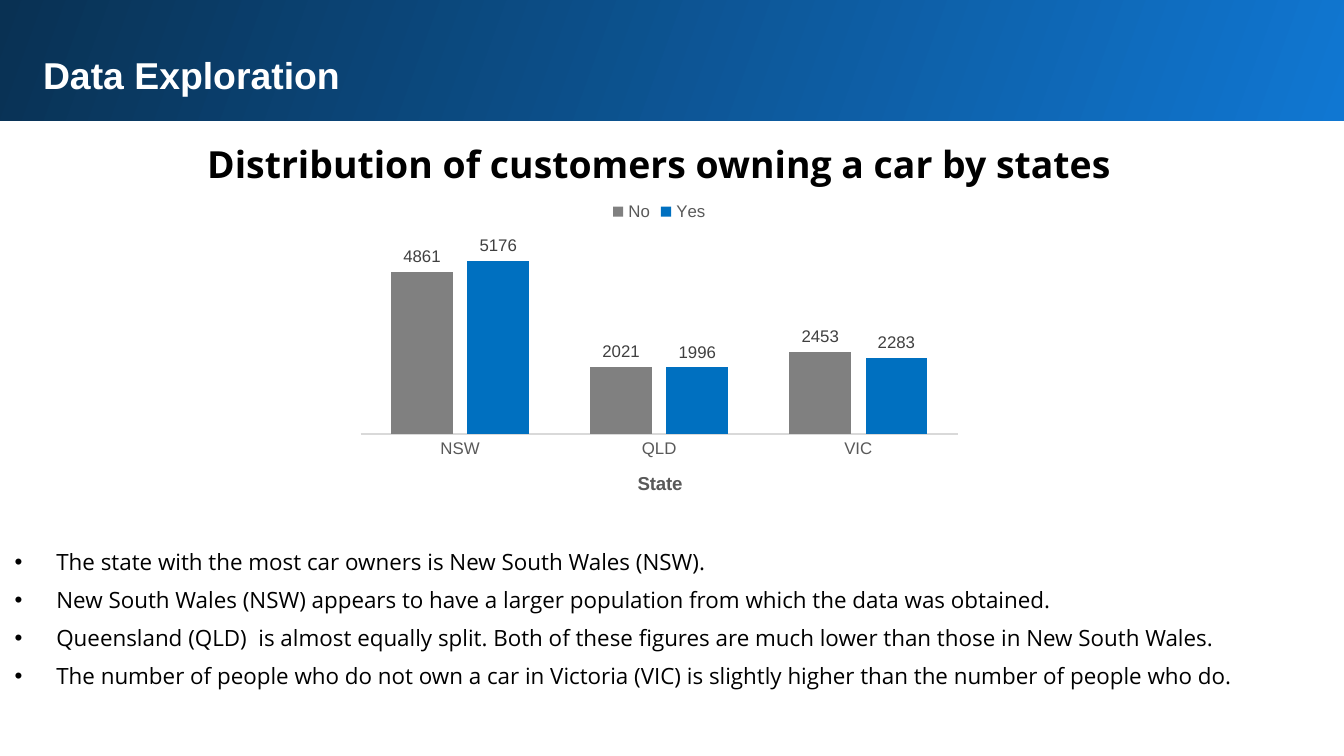
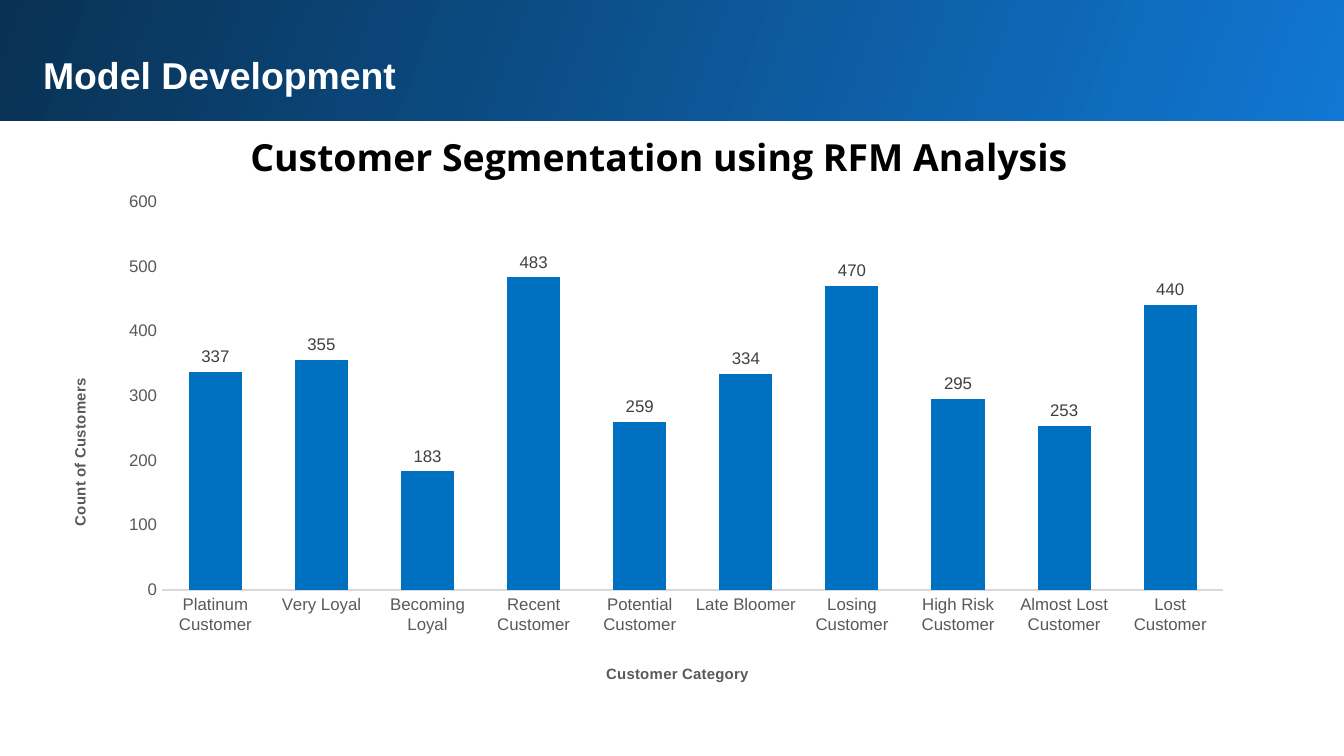
from dataclasses import dataclass

from lxml.etree import SubElement
from pptx import Presentation
from pptx.chart.data import CategoryChartData
from pptx.dml.color import RGBColor
from pptx.enum.chart import XL_CHART_TYPE, XL_LABEL_POSITION, XL_LEGEND_POSITION, XL_TICK_MARK
from pptx.enum.shapes import MSO_SHAPE
from pptx.enum.text import MSO_ANCHOR, MSO_AUTO_SIZE, PP_ALIGN
from pptx.oxml.ns import qn
from pptx.util import Inches, Pt

# Shared style
SANS, OPEN = "Arial", "Open Sans"
WHITE, BLACK = "FFFFFF", "000000"
GRAY, BLUE = "808080", "0070C0"
TEXT, LABEL, RULE = "595959", "404040", "D9D9D9"
BRIGHT, NAVY = "1077D2", "093153"

Box = tuple[float, float, float, float]


@dataclass
class Series:
    name: str
    color: str
    vals: tuple[int, ...]


@dataclass
class AxisName:
    text: str
    size: int
    x: float  # share of the chart width
    y: float  # share of the chart height


@dataclass
class Plot:
    box: Box
    inner: Box  # plot area as shares of the chart
    cats: list[str]
    series: list[Series]
    cat_name: AxisName
    val_name: AxisName | None = None


@dataclass
class Page:
    title: str
    head: str
    height: float
    spacing: float
    plot: Plot
    points: tuple[str, ...] = ()


def rgb(color: str) -> RGBColor:
    return RGBColor.from_string(color)


def style(font, size: float, color: str, name: str = SANS, bold: bool = False) -> None:
    font.size, font.name, font.bold = Pt(size), name, bold
    font.color.rgb = rgb(color)


def frame(shape, box: Box, inset: float):
    """Place a text shape and return its prepared text frame."""
    shape.left, shape.top, shape.width, shape.height = map(Inches, box)
    body = shape.text_frame
    body.word_wrap = True
    body.auto_size = MSO_AUTO_SIZE.SHAPE_TO_FIT_TEXT
    body.vertical_anchor = MSO_ANCHOR.TOP
    body.margin_left = body.margin_right = Inches(inset)
    body.margin_top = body.margin_bottom = Inches(inset)
    return body


def add_box(slide, box: Box, inset: float):
    return frame(slide.shapes.add_textbox(*map(Inches, box)), box, inset)


def add_band(slide) -> None:
    box = map(Inches, (0, -0.02, 10, 0.92))
    band = slide.shapes.add_shape(MSO_SHAPE.RECTANGLE, *box)
    band.shadow.inherit = False
    band.line.fill.background()
    band.fill.gradient()
    band.fill.gradient_angle = 160
    for stop, color in zip(band.fill.gradient_stops, (BRIGHT, NAVY)):
        stop.color.rgb = rgb(color)
    # The band lies behind the title
    slide.shapes.title.element.addprevious(band.element)


def add_title(slide, text: str) -> None:
    body = frame(slide.shapes.title, (0.22, 0.29, 9.37, 0.54), 0.1)
    body.text = text
    line = body.paragraphs[0]
    line.alignment = PP_ALIGN.LEFT
    style(line.runs[0].font, 20, WHITE, bold=True)


def add_head(slide, page: Page) -> None:
    body = add_box(slide, (0.22, 0.9, 9.37, page.height), 0.1)
    body.text = page.head
    line = body.paragraphs[0]
    line.alignment = PP_ALIGN.CENTER
    line.line_spacing = page.spacing
    style(line.runs[0].font, 20, BLACK, OPEN, True)


def add_points(slide, points: tuple[str, ...]) -> None:
    body = add_box(slide, (0.06, 4.03, 9.94, 1.25), 0.05)
    body.text = "\n".join(points)
    for line in body.paragraphs:
        line.space_after = Pt(6)
        style(line.runs[0].font, 12, BLACK, OPEN)
        props = line._p.get_or_add_pPr()
        props.set("marL", str(Inches(0.31)))
        props.set("indent", str(-Inches(0.31)))
        SubElement(props, qn("a:buFont")).set("typeface", SANS)
        SubElement(props, qn("a:buChar")).set("char", "•")


def set_layout(node, index: int, **values) -> None:
    """Fix the place of a chart part; index is the layout's child position."""
    for old in node.findall(qn("c:layout")):
        node.remove(old)
    layout = SubElement(node, qn("c:layout"))
    node.insert(index, layout)
    manual = SubElement(layout, qn("c:manualLayout"))
    for key, value in values.items():
        SubElement(manual, qn(f"c:{key}")).set("val", str(value))


def name_axis(axis, name: AxisName, turn: int = 0) -> None:
    body = axis.axis_title.text_frame
    body.text = name.text
    style(body.paragraphs[0].runs[0].font, name.size, TEXT, bold=True)
    node = axis.axis_title.element
    props = node.find(".//" + qn("a:bodyPr"))
    props.set("rot", str(turn * 60000))
    props.set("vert", "horz")
    set_layout(node, 1, xMode="edge", yMode="edge", x=name.x, y=name.y)


def add_plot(slide, plot: Plot) -> None:
    data = CategoryChartData()
    data.categories = plot.cats
    for item in plot.series:
        data.add_series(item.name, item.vals)
    box = map(Inches, plot.box)
    chart = slide.shapes.add_chart(XL_CHART_TYPE.COLUMN_CLUSTERED, *box, data).chart
    style(chart.font, 10, BLACK)
    chart.has_title = False

    # Columns and their labels
    bars = chart.plots[0]
    bars.gap_width, bars.overlap = 100, -24
    bars.vary_by_categories = False
    for item, bar in zip(plot.series, bars.series):
        bar.format.fill.solid()
        bar.format.fill.fore_color.rgb = rgb(item.color)
        labels = bar.data_labels
        labels.show_value = True
        labels.position = XL_LABEL_POSITION.OUTSIDE_END
        style(labels.font, 9, LABEL)

    # Axes
    cat, val = chart.category_axis, chart.value_axis
    for axis in (cat, val):
        axis.has_major_gridlines = False
        axis.major_tick_mark = axis.minor_tick_mark = XL_TICK_MARK.NONE
        style(axis.tick_labels.font, 9, TEXT)
    cat.format.line.color.rgb = rgb(RULE)
    cat.format.line.width = Pt(1)
    val.format.line.fill.background()
    name_axis(cat, plot.cat_name)
    if plot.val_name:
        name_axis(val, plot.val_name, -90)
    else:
        val.visible = False

    # Legend and plot area
    chart.has_legend = len(plot.series) > 1
    if chart.has_legend:
        chart.legend.position = XL_LEGEND_POSITION.TOP
        chart.legend.include_in_layout = False
        style(chart.legend.font, 9, TEXT)
    x, y, w, h = plot.inner
    area = chart.element.find(".//" + qn("c:plotArea"))
    set_layout(area, 0, layoutTarget="inner", xMode="edge", yMode="edge", x=x, y=y, w=w, h=h)


# Content
PAGES = [
    Page(
        "Data Exploration",
        "Distribution of customers owning a car by states",
        0.56,
        1.15,
        Plot(
            (2.59, 1.39, 4.63, 2.49),
            (0.02, 0.14, 0.96, 0.6),
            ["NSW", "QLD", "VIC"],
            [Series("No", GRAY, (4861, 2021, 2453)), Series("Yes", BLUE, (5176, 1996, 2283))],
            AxisName("State", 10, 0.46, 0.84),
        ),
        (
            "The state with the most car owners is New South Wales (NSW).",
            "New South Wales (NSW) appears to have a larger population from which the data was obtained.",
            "Queensland\u00a0(QLD)\u00a0 is almost equally split. Both of these figures are much lower "
            "than those in New South Wales.",
            "The number of people who do not own a car in Victoria (VIC) is slightly higher "
            "than the number of people who do.",
        ),
    ),
    Page(
        "Model Development",
        "Customer Segmentation using RFM Analysis",
        0.54,
        1.0,
        Plot(
            (0.41, 1.35, 8.87, 3.8),
            (0.09, 0.04, 0.89, 0.76),
            ["Platinum Customer", "Very Loyal", "Becoming Loyal", "Recent Customer",
             "Potential Customer", "Late Bloomer", "Losing Customer", "High Risk Customer",
             "Almost Lost Customer", "Lost Customer"],
            [Series("Series 1", BLUE, (337, 355, 183, 483, 259, 334, 470, 295, 253, 440))],
            AxisName("Customer Category", 8, 0.46, 0.94),
            AxisName("Count of Customers", 8, 0.01, 0.38),
        ),
    ),
]

# Build on a 16:9 page
deck = Presentation()
deck.slide_width = Inches(10)
deck.slide_height = deck.slide_width * 9 // 16
for page in PAGES:
    slide = deck.slides.add_slide(deck.slide_layouts.get_by_name("Title Only"))
    add_band(slide)
    add_title(slide, page.title)
    add_head(slide, page)
    if page.points:
        add_points(slide, page.points)
    add_plot(slide, page.plot)
deck.save("out.pptx")
